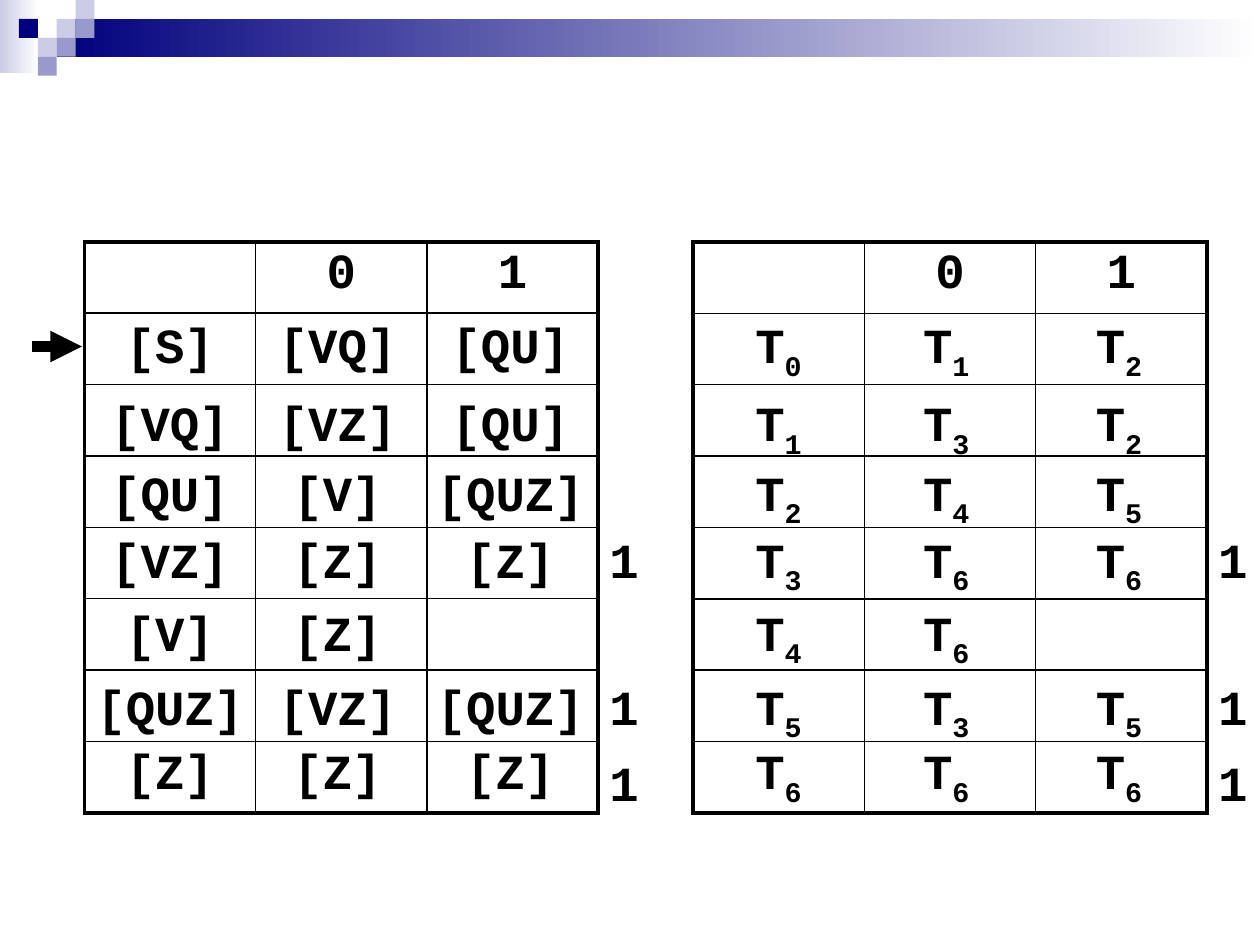
from lxml import etree
from pptx import Presentation
from pptx.dml.color import RGBColor
from pptx.enum.shapes import MSO_CONNECTOR, MSO_SHAPE
from pptx.enum.text import MSO_ANCHOR, PP_ALIGN
from pptx.oxml.ns import qn
from pptx.util import Pt

RECTANGLE = MSO_SHAPE.RECTANGLE
STRAIGHT = MSO_CONNECTOR.STRAIGHT
CENTER = PP_ALIGN.CENTER
TOP = MSO_ANCHOR.TOP

BLACK = RGBColor(0, 0, 0)
WHITE = RGBColor(255, 255, 255)
NAVY = RGBColor(0, 0, 0x7D)
LAVENDER = RGBColor(0xCC, 0xCC, 0xE6)
VIOLET = RGBColor(0x99, 0x99, 0xCC)

FONT = "Courier New"
TEXT_SIZE = 28
CHARACTER_WIDTH = 16.8
SIDE_MARGINS = 14.4
SUBSCRIPT_BOX_WIDTH = 42.5

SQUARE = 10.8
SQUARES = [(3, 1, LAVENDER), (4, 0, LAVENDER), (4, 1, VIOLET), (2, 2, LAVENDER),
           (1, 1, NAVY), (3, 2, VIOLET), (2, 3, VIOLET)]

TABLE_TOP = 138.2
COLUMN_WIDTH = 97.9
ROW_HEIGHT = 40.8
HEADINGS = ["", "0", "1"]
ENTRY_CENTERS = [48.9, 144.7, 243.4]
MARKER_CENTER = 308.4
ENTRY_TOPS = [176.4, 221, 260.6, 298.8, 340.6, 383, 419.8]
MARKER_TOPS = [298.8, 383, 426.2]

SUBSETS = [["[S]", "[VQ]", "[QU]"], ["[VQ]", "[VZ]", "[QU]"],
           ["[QU]", "[V]", "[QUZ]"], ["[VZ]", "[Z]", "[Z]"],
           ["[V]", "[Z]", ""], ["[QUZ]", "[VZ]", "[QUZ]"],
           ["[Z]", "[Z]", "[Z]"]]
STATES = [["T0", "T1", "T2"], ["T1", "T3", "T2"], ["T2", "T4", "T5"],
          ["T3", "T6", "T6"], ["T4", "T6", ""], ["T5", "T3", "T5"],
          ["T6", "T6", "T6"]]


def write(frame, text, subscript="", size=TEXT_SIZE, color=BLACK):
    """Write centred bold text with an optional subscript."""
    para = frame.paragraphs[0]
    para.alignment = CENTER
    for part, offset in ((text, None), (subscript, "-25000")):
        if part:
            span = para.add_run()
            span.text = part
            span.font.name = FONT
            span.font.size = Pt(size)
            span.font.bold = True
            span.font.color.rgb = color
            if offset:
                span.font._element.set("baseline", offset)


def add_rectangle(page, left, top, width, height, color, fade=False):
    """Add a borderless rectangle, optionally fading to white."""
    box = page.shapes.add_shape(RECTANGLE, Pt(left), Pt(top), Pt(width), Pt(height))
    box.shadow.inherit = False
    box.line.fill.background()
    if fade:
        box.fill.gradient()
        box.fill.gradient_angle = 0
        for stop, shade in zip(box.fill.gradient_stops, (color, WHITE)):
            stop.color.rgb = shade
    else:
        box.fill.solid()
        box.fill.fore_color.rgb = color


def add_header_band(page):
    """Add the fading bands and the squares at the top."""
    add_rectangle(page, 0, 0, 22.3, 41.8, LAVENDER, fade=True)
    add_rectangle(page, 3 * SQUARE, SQUARE, 687.6, 2 * SQUARE, NAVY, fade=True)
    for column, row, color in SQUARES:
        add_rectangle(page, column * SQUARE, row * SQUARE, SQUARE, SQUARE, color)


def set_border(cell, side, width):
    """Draw one black border of a cell."""
    line = etree.SubElement(cell._tc.get_or_add_tcPr(), qn(f"a:ln{side}"),
                            w=str(Pt(width)))
    fill = etree.SubElement(line, qn("a:solidFill"))
    etree.SubElement(fill, qn("a:srgbClr"), val=str(BLACK))


def add_grid(page, left, row_count):
    """Add a ruled table that holds the input headings."""
    column_count = len(HEADINGS)
    table = page.shapes.add_table(
        row_count, column_count, Pt(left), Pt(TABLE_TOP),
        Pt(COLUMN_WIDTH * column_count), Pt(ROW_HEIGHT * row_count)).table
    table.first_row = False
    table.horz_banding = False
    for column in table.columns:
        column.width = Pt(COLUMN_WIDTH)
    for row_index, row in enumerate(table.rows):
        row.height = Pt(ROW_HEIGHT)
        for column_index, cell in enumerate(row.cells):
            outer_sides = {"L": column_index == 0,
                           "R": column_index == column_count - 1,
                           "T": row_index == 0,
                           "B": row_index == row_count - 1}
            for side, outer in outer_sides.items():
                set_border(cell, side, 2.25 if outer else 1)
            cell.fill.background()
    for column_index, heading in enumerate(HEADINGS):
        write(table.cell(0, column_index).text_frame, heading)


def add_label(page, center, top, text, subscript=""):
    """Add an unwrapped text box centred on a horizontal position."""
    width = (SUBSCRIPT_BOX_WIDTH if subscript
             else SIDE_MARGINS + CHARACTER_WIDTH * len(text))
    box = page.shapes.add_textbox(Pt(center - width / 2), Pt(top),
                                  Pt(width), Pt(ROW_HEIGHT))
    frame = box.text_frame
    frame.word_wrap = False
    frame.vertical_anchor = TOP
    write(frame, text, subscript)


def add_transition_table(page, left, entries, subscripted=False):
    """Add a grid with its entries and the marks of accepting states."""
    add_grid(page, left, len(entries) + 1)
    for top, row in zip(ENTRY_TOPS, entries):
        for center, entry in zip(ENTRY_CENTERS, row):
            if entry and subscripted:
                add_label(page, left + center, top, entry[0], entry[1:])
            elif entry:
                add_label(page, left + center, top, entry)
    for top in MARKER_TOPS:
        add_label(page, left + MARKER_CENTER, top, "1")


def add_arrow(page, left, right, y):
    """Add a thick horizontal arrow pointing right."""
    arrow = page.shapes.add_connector(STRAIGHT, Pt(left), Pt(y), Pt(right), Pt(y))
    arrow.line.color.rgb = BLACK
    arrow.line.width = Pt(6)
    etree.SubElement(arrow.line._get_or_add_ln(), qn("a:tailEnd"), type="triangle")
    etree.SubElement(arrow._element.spPr, qn("a:effectLst"))


def main():
    """Build the slide and save the deck."""
    deck = Presentation()
    deck.slide_width = Pt(720)
    deck.slide_height = Pt(540)
    page = deck.slides.add_slide(deck.slide_layouts[6])
    add_header_band(page)
    add_transition_table(page, 48.2, SUBSETS)
    add_arrow(page, 18, 46.8, 198)
    add_transition_table(page, 396, STATES, subscripted=True)
    deck.save("out.pptx")


if __name__ == "__main__":
    main()
